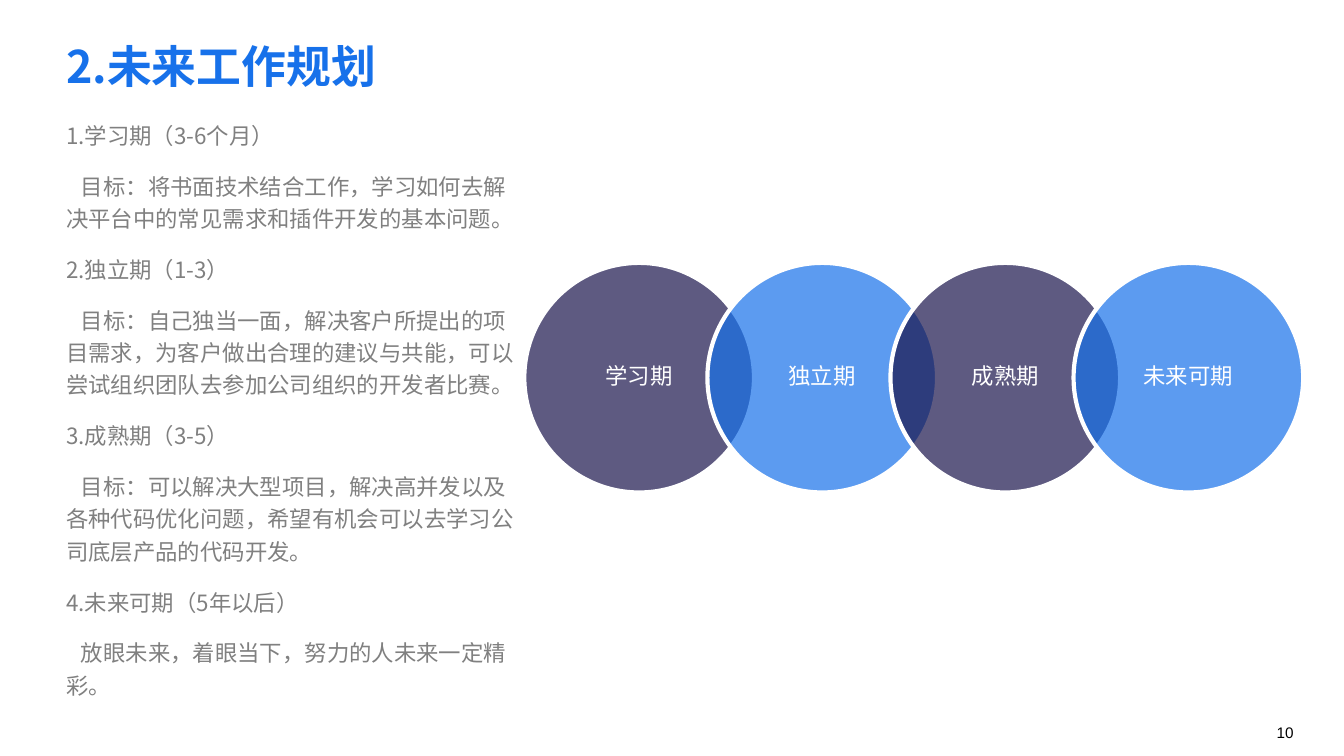
"""Build the slide on future work planning."""
import pptx
import pptx.dml.color
import pptx.enum.shapes
import pptx.enum.text
import pptx.oxml
import pptx.oxml.ns
import pptx.util

Cm = pptx.util.Cm
Pt = pptx.util.Pt
COLORS = {
    "blue": "1771EA",
    "navy": "1A154C",
    "gray": "808080",
    "white": "FFFFFF",
    "black": "000000",
}
CJK_FONT = "Noto Sans CJK SC"
STAGES = [
    ("学习期", "（3-6个月）",
     "目标：将书面技术结合工作，学习如何去解决平台中的常见需求和插件开发的基本问题。"),
    ("独立期", "（1-3）",
     "目标：自己独当一面，解决客户所提出的项目需求，为客户做出合理的建议与共能，"
     "可以尝试组织团队去参加公司组织的开发者比赛。"),
    ("成熟期", "（3-5）",
     "目标：可以解决大型项目，解决高并发以及各种代码优化问题，"
     "希望有机会可以去学习公司底层产品的代码开发。"),
    ("未来可期", "（5年以后）",
     "放眼未来，着眼当下，努力的人未来一定精彩。"),
]


class PlanSlide:
    """Hold the style and the current slide, with one method per kind of element."""

    def __init__(self, deck):
        self.slide = deck.slides.add_slide(deck.slide_layouts[5])

    def color(self, name):
        return pptx.dml.color.RGBColor.from_string(COLORS[name])

    def style(self, paragraph, size, color, font=CJK_FONT, bold=False, align="LEFT"):
        paragraph.alignment = getattr(pptx.enum.text.PP_ALIGN, align)
        paragraph.font.size = Pt(size)
        paragraph.font.bold = bold
        paragraph.font.color.rgb = self.color(color)
        paragraph.font.name = font
        properties = paragraph._p.get_or_add_pPr().find(pptx.oxml.ns.qn("a:defRPr"))
        east_asian = pptx.oxml.parse_xml(
            f'<a:ea {pptx.oxml.ns.nsdecls("a")} typeface="{font}"/>')
        properties.find(pptx.oxml.ns.qn("a:latin")).addnext(east_asian)

    def frame(self, shape, anchor="TOP"):
        frame = shape.text_frame
        frame.word_wrap = True
        frame.auto_size = pptx.enum.text.MSO_AUTO_SIZE.NONE
        frame.vertical_anchor = getattr(pptx.enum.text.MSO_ANCHOR, anchor)
        frame.margin_left = frame.margin_right = 0
        frame.margin_top = frame.margin_bottom = 0
        return frame

    def title(self, text, left, top, width, height):
        heading = self.slide.shapes.title
        heading.left, heading.top = Cm(left), Cm(top)
        heading.width, heading.height = Cm(width), Cm(height)
        frame = self.frame(heading)
        frame.text = text
        self.style(frame.paragraphs[0], 24, "blue", bold=True)

    def text_box(self, left, top, width, height, anchor="TOP"):
        box = self.slide.shapes.add_textbox(Cm(left), Cm(top), Cm(width), Cm(height))
        return self.frame(box, anchor)

    def plan(self, stages, left, top, width, height):
        frame = self.text_box(left, top, width, height)
        lines = []
        for number, (stage, period, goal) in enumerate(stages, 1):
            lines += [(f"{number}.{stage}{period}", 0), (goal, 0.28)]
        for index, (text, indent) in enumerate(lines):
            paragraph = frame.add_paragraph() if index else frame.paragraphs[0]
            paragraph.text = text
            paragraph.line_spacing = 1.2
            paragraph.space_before = Pt(10)
            self.style(paragraph, 12, "gray")
            paragraph._p.get_or_add_pPr().set("indent", str(Cm(indent)))

    def stage_chain(self, names, left, top, diameter, step):
        chain = self.slide.shapes.add_group_shape().shapes
        for index, name in enumerate(names):
            circle = chain.add_shape(
                pptx.enum.shapes.MSO_SHAPE.OVAL,
                Cm(left + index * step), Cm(top), Cm(diameter), Cm(diameter))
            circle.shadow.inherit = False
            circle.fill.solid()
            circle.fill.fore_color.rgb = self.color("blue" if index % 2 else "navy")
            fill_color = circle._element.spPr.find(
                f'{pptx.oxml.ns.qn("a:solidFill")}/{pptx.oxml.ns.qn("a:srgbClr")}')
            fill_color.append(pptx.oxml.parse_xml(
                f'<a:alpha {pptx.oxml.ns.nsdecls("a")} val="70000"/>'))
            circle.line.color.rgb = self.color("white")
            circle.line.width = Pt(2.25)
            frame = self.frame(circle, "MIDDLE")
            frame.text = name
            frame.paragraphs[0].line_spacing = 0.9
            self.style(frame.paragraphs[0], 12, "white", align="CENTER")

    def page_number(self, number, left, top, width, height):
        frame = self.text_box(left, top, width, height, "MIDDLE")
        frame.text = str(number)
        self.style(frame.paragraphs[0], 8.2, "black", font="Arial")


def main():
    deck = pptx.Presentation()
    deck.slide_width, deck.slide_height = Cm(25.4), Cm(14.29)
    page = PlanSlide(deck)
    page.page_number(10, 24.13, 13.67, 1.27, 0.36)
    page.title("2.未来工作规划", 1.25, 0.74, 20.42, 1.45)
    page.stage_chain([stage for stage, _, _ in STAGES], 9.91, 4.97, 4.34, 3.46)
    page.plan(STAGES, 1.25, 2.21, 8.69, 10.82)
    deck.save("out.pptx")


if __name__ == "__main__":
    main()
